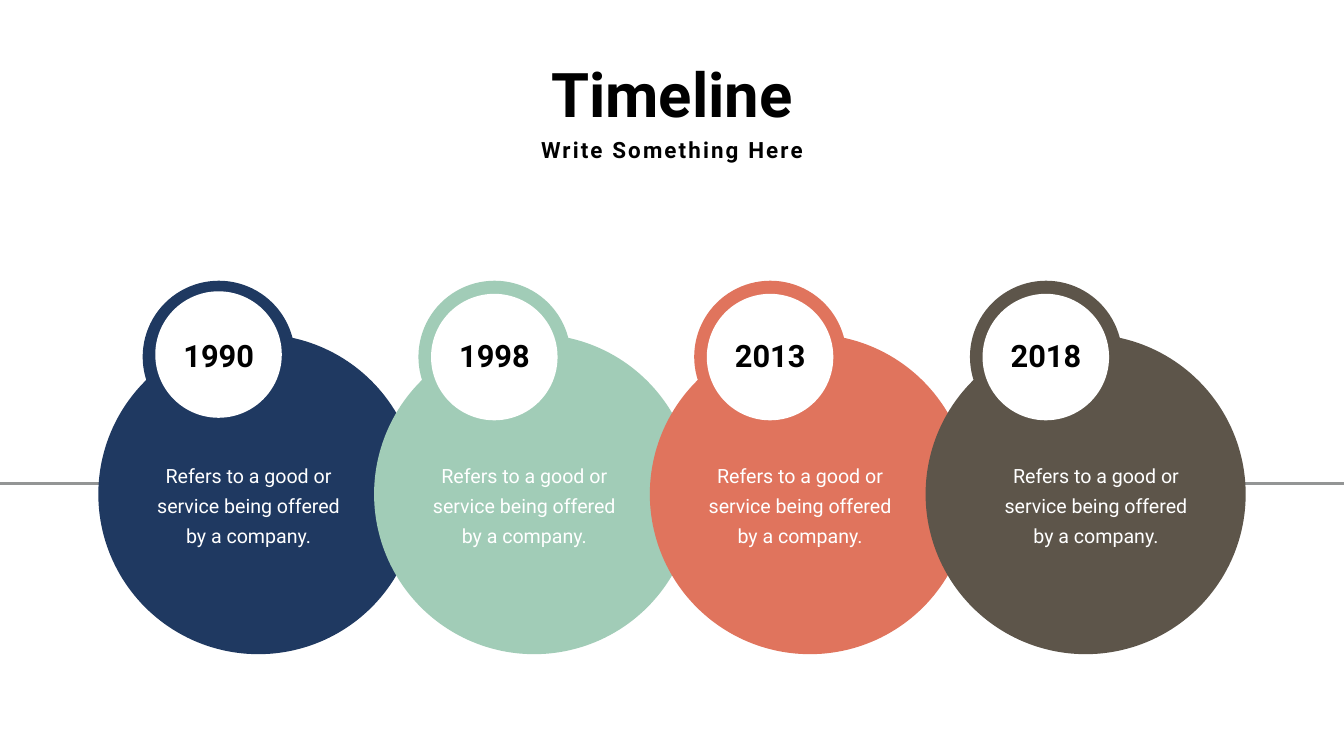
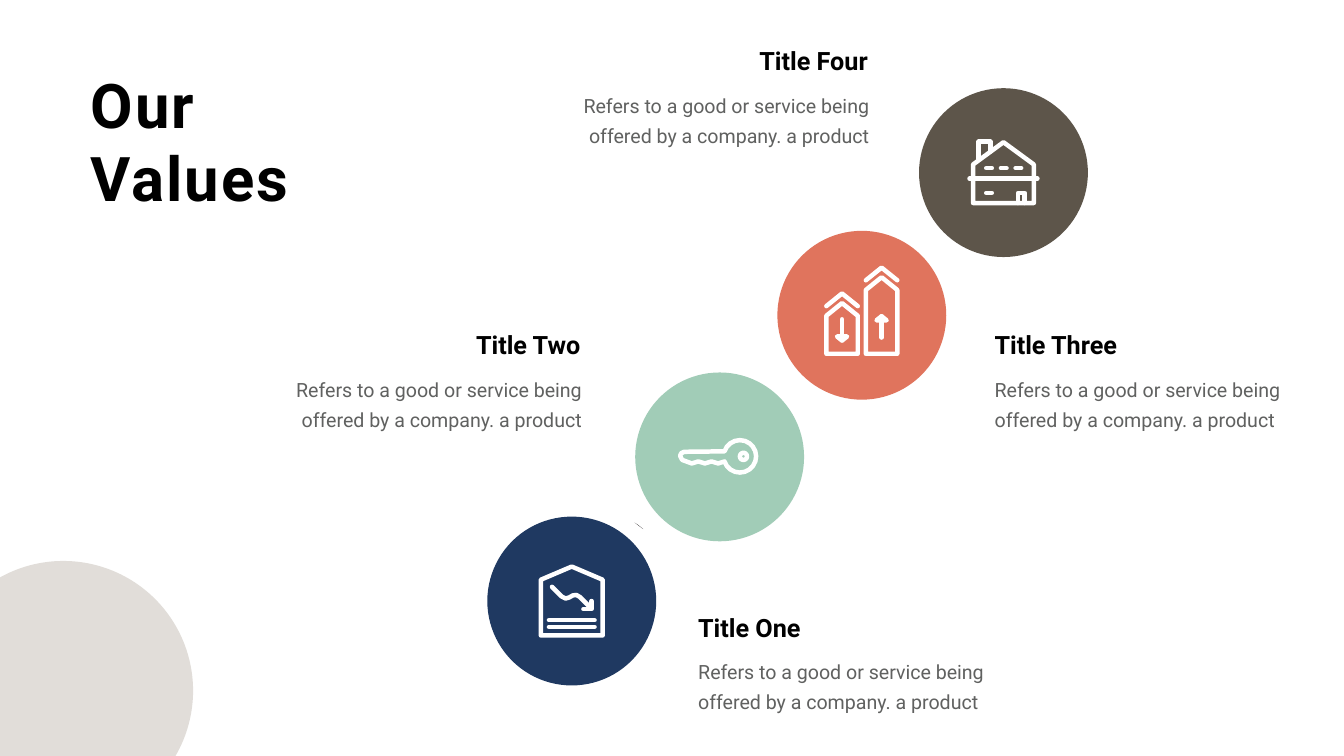
from dataclasses import dataclass
from math import cos, radians, sin

from lxml.etree import SubElement
from pptx import Presentation
from pptx.dml.color import RGBColor
from pptx.enum.shapes import MSO_CONNECTOR as Link, MSO_SHAPE as Preset
from pptx.enum.text import MSO_AUTO_SIZE as Fit, PP_ALIGN as Align
from pptx.oxml.ns import qn
from pptx.util import Inches, Pt

# The slide is a grid of 80 columns by 45 rows of square cells
WIDTH, HEIGHT = Inches(26.66), Inches(15)
COLUMNS, ROWS = 80, 45
CELL = HEIGHT / ROWS


@dataclass(frozen=True)
class Theme:
    font: str = "Roboto"
    navy: str = "1F3961"
    mint: str = "A1CCB7"
    coral: str = "E0745D"
    umber: str = "5D554A"
    white: str = "FFFFFF"
    black: str = "000000"
    body: str = "606160"
    rule: str = "939595"
    sand: str = "E1DDD9"
    fleck: str = "231F20"
    headline: int = 88
    year: int = 44
    heading: int = 36
    subtitle: int = 32
    text: int = 28
    leading: int = 43
    tracking: int = 3
    rule_width: float = 4.5
    icon_stroke: float = 6.4


THEME = Theme()


@dataclass(frozen=True)
class Box:
    """A region in grid cells."""
    x: float
    y: float
    w: float
    h: float

    def inner(self, dx, dy, w, h):
        return Box(self.x + dx, self.y + dy, w, h)

    def frame(self):
        return [cells(v) for v in (self.x, self.y, self.w, self.h)]


def cells(count):
    return round(count * CELL)


def square(x, y, size):
    return Box(x, y, size, size)


def rgb(code):
    return RGBColor.from_string(code)


# Shared parts
def add_page(deck):
    page = deck.slides.add_slide(deck.slide_layouts[6])
    page.background.fill.solid()
    page.background.fill.fore_color.rgb = rgb(THEME.white)
    return page


def fill_plain(shape, color):
    shape.shadow.inherit = False
    shape.fill.solid()
    shape.fill.fore_color.rgb = rgb(color)
    shape.line.fill.background()


def add_disc(page, box, color):
    fill_plain(page.shapes.add_shape(Preset.OVAL, *box.frame()), color)


def add_text(page, box, text, size, color=THEME.black, bold=False, align=Align.LEFT,
             leading=None, tracking=None, wrap=True, inset=(0.1, 0.05)):
    """Each line of the text becomes a paragraph."""
    frame = page.shapes.add_textbox(*box.frame()).text_frame
    frame.word_wrap = wrap
    frame.auto_size = Fit.SHAPE_TO_FIT_TEXT
    frame.margin_left = frame.margin_right = Inches(inset[0])
    frame.margin_top = frame.margin_bottom = Inches(inset[1])
    for index, line in enumerate(text.split("\n")):
        para = frame.add_paragraph() if index else frame.paragraphs[0]
        para.alignment = align
        if leading:
            para.line_spacing = Pt(leading)
        span = para.add_run()
        span.text = line
        span.font.name = THEME.font
        span.font.size = Pt(size)
        span.font.bold = bold
        span.font.color.rgb = rgb(color)
        if tracking:
            span._r.get_or_add_rPr().set("spc", str(tracking * 100))


def add_body(page, box, text, color, align):
    add_text(page, box, text, THEME.text, color=color, align=align,
             leading=THEME.leading, inset=(0.24, 0.12))


def add_rule(page, y):
    rule = page.shapes.add_connector(Link.STRAIGHT, 0, cells(y), WIDTH, cells(y))
    rule.line.color.rgb = rgb(THEME.rule)
    rule.line.width = Pt(THEME.rule_width)
    SubElement(rule._element.spPr, qn("a:effectLst"))


# Icons: strokes around the disc's centre, in units of 0.6 of its radius.
# A stroke is a list of points and whether it closes; a part is a list of strokes.
def arc(x, y, radius, start, end, step=18):
    return [(x + radius * cos(radians(a)), y + radius * sin(radians(a)))
            for a in range(start, end + 1, step)]


def dash(x, y, length):
    return [([(x, y), (x + length, y)], False)]


def house_icon():
    walls = [(-0.6, 0.6), (-0.6, -0.16), (0, -0.6), (0.6, -0.16), (0.6, 0.6)]
    floor = [(-0.67, 0.12), (0.67, 0.12)]
    chimney = [(-0.49, -0.27), (-0.49, -0.61), (-0.26, -0.61), (-0.26, -0.42)]
    door = [(0.29, 0.6), (0.29, 0.4), (0.42, 0.4), (0.42, 0.6)]
    shell = [(walls, True), (floor, False), (chimney, False), (door, False)]
    windows = [dash(-0.34 + 0.29 * i, -0.09, 0.11) for i in range(3)]
    return [shell, dash(-0.34, 0.4, 0.11), *windows]


def towers_icon():
    parts = []
    for x, apex, tip, tail in ((-0.39, -0.24, 0.5, 0.08), (0.39, -0.75, 0.02, 0.44)):
        left, right, floor = x - 0.31, x + 0.31, 0.76
        eaves, ridge = apex + 0.25, apex - 0.19
        barb = tip + (0.08 if tip < tail else -0.08)
        tower = [(left, floor), (left, eaves), (x, apex), (right, eaves), (right, floor)]
        roof = [(left, ridge + 0.25), (x, ridge), (right, ridge + 0.25)]
        head = [(x - 0.1, barb), (x, tip), (x + 0.1, barb)]
        parts += [[(tower, True)], [(roof, False)],
                  [([(x, tail), (x, tip)], False), (head, True)]]
    return parts


def key_icon():
    blade = [(0.1, 0.09), (-0.03, 0.13), (-0.16, 0.09), (-0.29, 0.13), (-0.42, 0.09),
             (-0.55, 0.13), (-0.74, 0.06), (-0.78, -0.02), (-0.76, -0.07), (-0.7, -0.1)]
    bow = arc(0.4, -0.01, 0.32, -162, 162)
    return [[(bow + blade, True)], [(arc(0.47, -0.01, 0.07, 0, 342), True)]]


def decline_icon():
    frame = [(-0.61, 0.68), (-0.61, -0.42), (0, -0.68), (0.61, -0.42), (0.61, 0.68)]
    curve = [(-0.39, -0.28), (-0.2, -0.09), (-0.12, -0.05), (-0.05, -0.07), (0.02, -0.11),
             (0.09, -0.12), (0.16, -0.08), (0.38, 0.14)]
    head = [(0.23, 0.16), (0.39, 0.16), (0.39, 0)]
    return [[(curve, False), (head, False)], dash(-0.45, 0.38, 0.9),
            dash(-0.45, 0.51, 0.9), [(frame, True)]]


def add_icon(page, disc, parts):
    group = page.shapes.add_group_shape()
    unit = disc.w * 0.3
    middle_x, middle_y = disc.x + disc.w / 2, disc.y + disc.h / 2
    for strokes in parts:
        builder = None
        for points, closed in strokes:
            first, *rest = [(cells(middle_x + x * unit), cells(middle_y + y * unit))
                            for x, y in points]
            if builder is None:
                builder = group.shapes.build_freeform(*first)
            else:
                builder.move_to(*first)
            builder.add_line_segments(rest, close=closed)
        shape = builder.convert_to_shape()
        shape.shadow.inherit = False
        shape.fill.background()
        shape.line.color.rgb = rgb(THEME.white)
        shape.line.width = Pt(THEME.icon_stroke)
        line = shape.line._get_or_add_ln()
        line.set("cap", "rnd")
        SubElement(line, qn("a:round"))


# Timeline slide
def add_event(page, disc, year, text, color, hole_top=-2.4, text_left=2.55):
    add_disc(page, disc, color)
    add_disc(page, disc.inner(2.64, -3.18, 9.06, 9.06), color)
    add_disc(page, disc.inner(3.39, hole_top, 7.53, 7.53), THEME.white)
    add_body(page, disc.inner(text_left, 6.96, 12.78, 6), text, THEME.white, Align.CENTER)
    add_text(page, disc.inner(4.2, 0, 5.94, 2.52), year, THEME.year, bold=True,
             align=Align.CENTER)


def build_timeline(deck):
    page = add_page(deck)
    add_rule(page, 28.77)
    events = [("1990", THEME.navy, {"hole_top": -2.55}),
              ("1998", THEME.mint, {}),
              ("2013", THEME.coral, {}),
              ("2018", THEME.umber, {"text_left": 3.75})]
    text = "Refers to a good or service being offered by a company."
    for index, (year, color, nudge) in enumerate(events):
        disc = square(5.85 + 16.41 * index, 19.89, 19.05)
        add_event(page, disc, year, text, color, **nudge)
    add_text(page, Box(32.01, 3.18, 15.96, 4.74), "Timeline", THEME.headline, bold=True,
             align=Align.CENTER)
    add_text(page, Box(31.26, 7.95, 17.46, 1.92), "Write Something Here", THEME.subtitle,
             bold=True, align=Align.CENTER, tracking=THEME.tracking, wrap=False)


# Values slide
def add_caption(page, box, title, text, align):
    """Heading above a text block, both held to the same side."""
    width = 15.42
    left = box.w - width - 0.5 if align == Align.RIGHT else 0.42
    add_body(page, box, text, THEME.body, align)
    add_text(page, box.inner(left, -2.27, width, 2.13), title, THEME.heading,
             bold=True, align=align)


def add_fleck(page, box):
    builder = page.shapes.build_freeform(cells(box.x), cells(box.y))
    builder.add_line_segments([(cells(box.x + box.w / 2), cells(box.y + box.h * 0.45)),
                               (cells(box.x + box.w), cells(box.y + box.h))])
    fill_plain(builder.convert_to_shape(), THEME.fleck)


def build_values(deck):
    page = add_page(deck)
    add_fleck(page, Box(37.77, 31.11, 0.5, 0.38))
    values = [
        ("Title One", (29, 30.75), THEME.navy, decline_icon, (40.83, 38.55), Align.LEFT),
        ("Title Two", (37.8, 22.17), THEME.mint, key_icon, (15.84, 21.75), Align.RIGHT),
        ("Title Three", (46.26, 13.74), THEME.coral, towers_icon, (58.47, 21.75), Align.LEFT),
        ("Title Four", (54.69, 5.25), THEME.umber, house_icon, (32.94, 4.83), Align.RIGHT),
    ]
    text = "Refers to a good or service being offered by a company. a product"
    for title, spot, color, icon, corner, align in values:
        disc = square(*spot, 10.05)
        add_caption(page, Box(*corner, 19.5, 4.17), title, text, align)
        add_disc(page, disc, color)
        add_icon(page, disc, icon())
    add_text(page, Box(5.1, 3.81, 14.04, 9.18), "Our\nValues", THEME.headline, bold=True,
             tracking=THEME.tracking)
    add_disc(page, square(-3.96, 33.39, 15.45), THEME.sand)


def main():
    deck = Presentation()
    deck.slide_width, deck.slide_height = WIDTH, HEIGHT
    build_timeline(deck)
    build_values(deck)
    deck.save("out.pptx")


if __name__ == "__main__":
    main()
